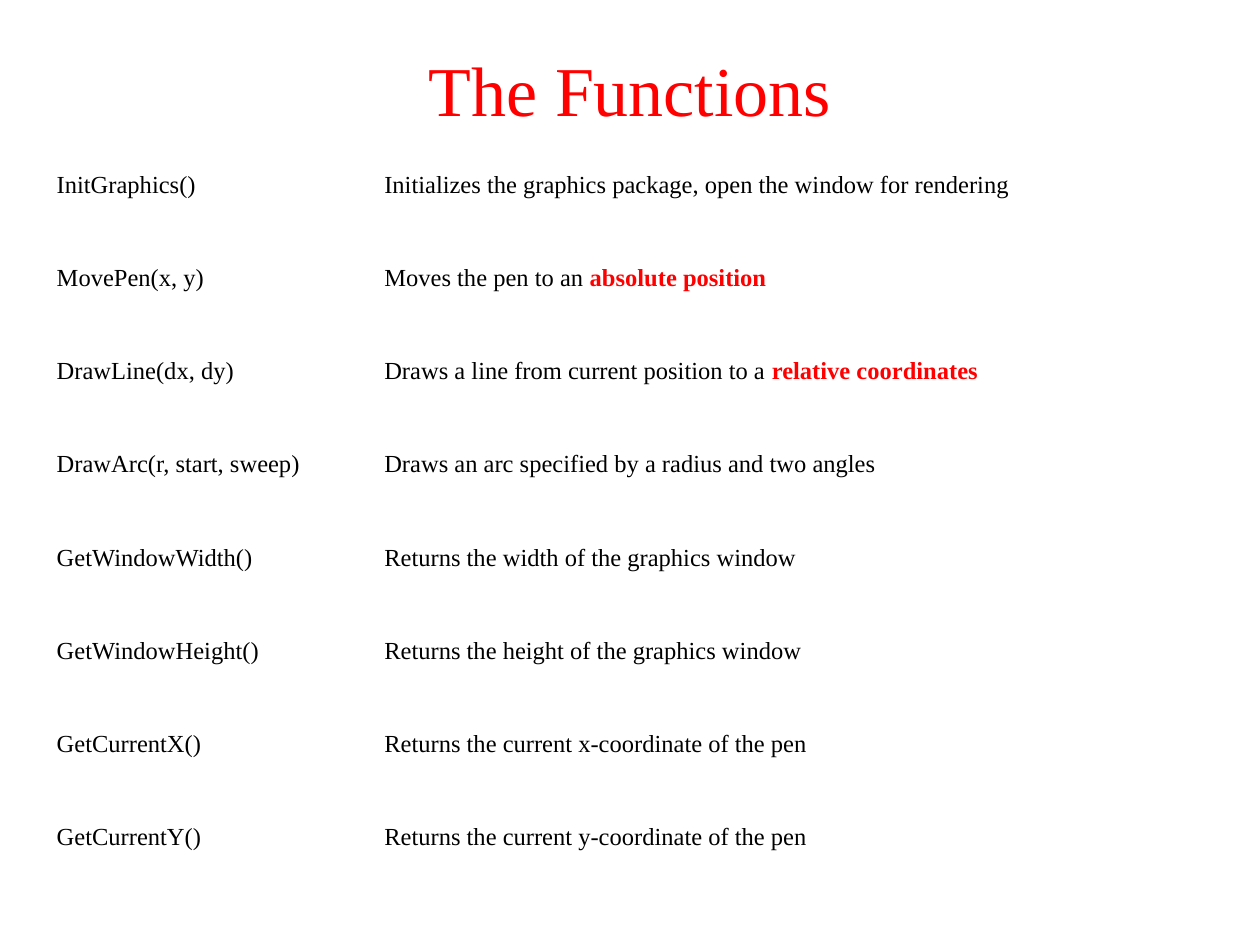
from dataclasses import dataclass

from pptx import Presentation
from pptx.dml.color import RGBColor
from pptx.enum.text import MSO_ANCHOR, PP_ALIGN
from pptx.util import Inches, Pt

MIDDLE = MSO_ANCHOR.MIDDLE
CENTER = PP_ALIGN.CENTER
BLANK_LAYOUT = 6


@dataclass(frozen=True)
class Theme:
    font: str = "Times New Roman"
    ink: RGBColor = RGBColor(0, 0, 0)
    accent: RGBColor = RGBColor(255, 0, 0)
    title_size: int = 40
    body_size: int = 14


class SlideBuilder:
    def __init__(self, page, theme):
        self.page = page
        self.theme = theme

    def add_span(self, para, text, size, color, bold=False):
        span = para.add_run()
        span.text = text
        span.font.name = self.theme.font
        span.font.size = Pt(size)
        span.font.color.rgb = color
        span.font.bold = bold

    def add_title(self, text, left, top, width, height):
        box = self.page.shapes.add_textbox(
            Inches(left), Inches(top), Inches(width), Inches(height)
        )
        frame = box.text_frame
        frame.word_wrap = True
        frame.vertical_anchor = MIDDLE
        para = frame.paragraphs[0]
        para.alignment = CENTER
        self.add_span(para, text, self.theme.title_size, self.theme.accent)

    def fill_cell(self, cell, text, emphasis=""):
        cell.fill.background()
        para = cell.text_frame.paragraphs[0]
        size = self.theme.body_size
        self.add_span(para, text, size, self.theme.ink)
        if emphasis:
            self.add_span(para, emphasis, size, self.theme.accent, bold=True)

    def add_function_table(self, functions, left, top, column_widths, row_height):
        table = self.page.shapes.add_table(
            len(functions), len(column_widths),
            Inches(left), Inches(top),
            Inches(sum(column_widths)), Inches(row_height * len(functions)),
        ).table
        table.first_row = False
        table.horz_banding = False
        for column, width in zip(table.columns, column_widths):
            column.width = Inches(width)
        for row, (signature, *description) in zip(table.rows, functions):
            row.height = Inches(row_height)
            self.fill_cell(row.cells[0], signature)
            self.fill_cell(row.cells[1], *description)


FUNCTIONS = [
    ("InitGraphics()", "Initializes the graphics package, open the window for rendering"),
    ("MovePen(x, y)", "Moves the pen to an ", "absolute position"),
    ("DrawLine(dx, dy)", "Draws a line from current position to a ", "relative coordinates"),
    ("DrawArc(r, start, sweep)", "Draws an arc specified by a radius and two angles"),
    ("GetWindowWidth()", "Returns the width of the graphics window"),
    ("GetWindowHeight()", "Returns the height of the graphics window"),
    ("GetCurrentX()", "Returns the current x-coordinate of the pen"),
    ("GetCurrentY()", "Returns the current y-coordinate of the pen"),
]


def main():
    deck = Presentation()
    deck.slide_width = Inches(10)
    deck.slide_height = Inches(7.5)
    page = deck.slides.add_slide(deck.slide_layouts[BLANK_LAYOUT])
    builder = SlideBuilder(page, Theme())
    builder.add_title("The Functions", 0, 0.08, 10, 1.25)
    builder.add_function_table(FUNCTIONS, 0.35, 1.31, (2.6, 6.69), 0.74)
    deck.save("out.pptx")


if __name__ == "__main__":
    main()
